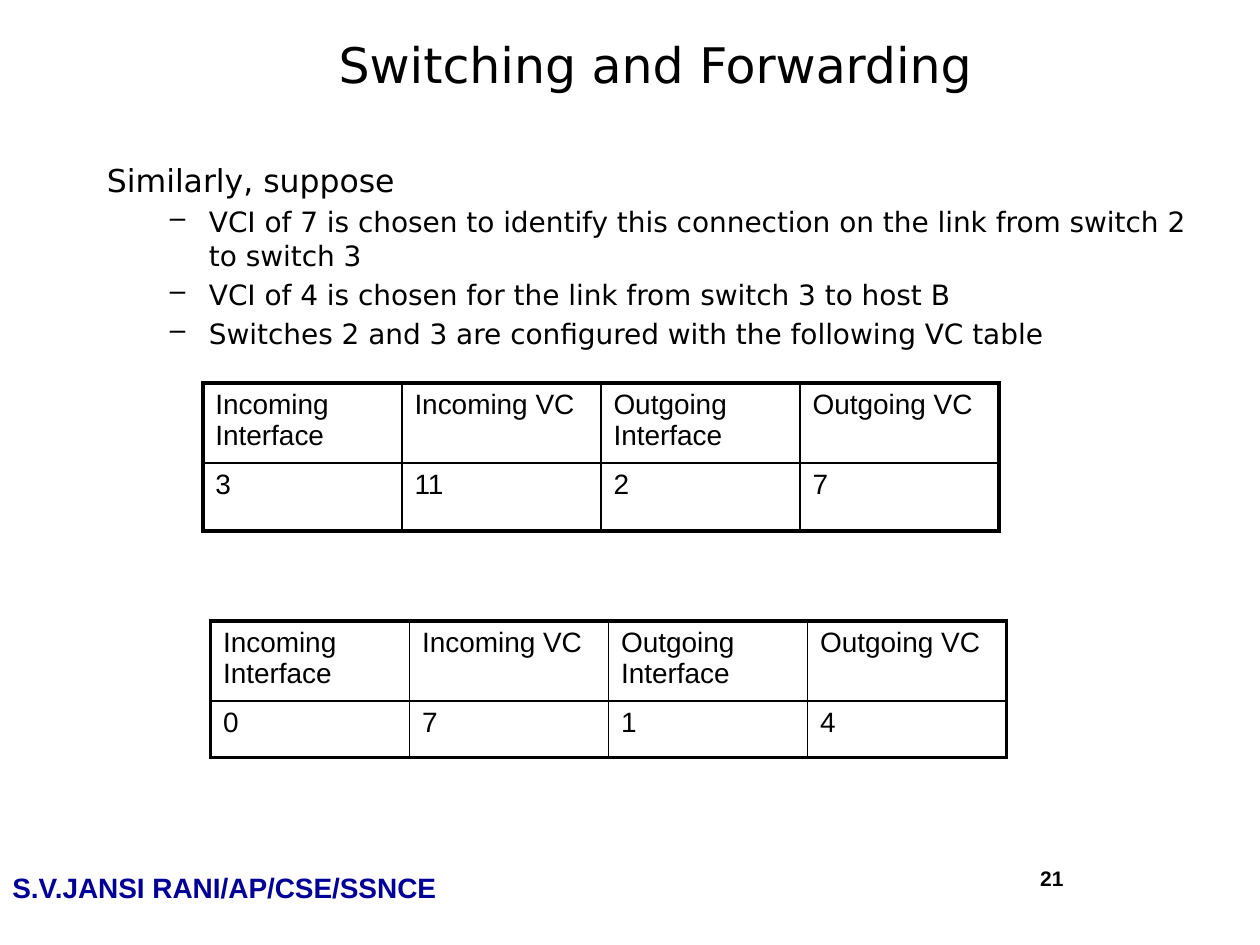
from dataclasses import dataclass

from lxml.etree import SubElement
from pptx import Presentation
from pptx.dml.color import RGBColor
from pptx.enum.shapes import MSO_SHAPE
from pptx.enum.text import MSO_ANCHOR as Anchor, PP_ALIGN as Align
from pptx.oxml.ns import qn
from pptx.util import Inches, Pt

BLACK = RGBColor(0, 0, 0)
WHITE = RGBColor(255, 255, 255)
NAVY = RGBColor(0, 0, 0x99)
HEADERS = ("Incoming Interface", "Incoming VC", "Outgoing Interface", "Outgoing VC")
COLUMN_WIDTH = 1.58
THIN, THICK = Pt(1), Pt(2.25)


@dataclass(frozen=True)
class Box:
    left: float
    top: float
    width: float
    height: float

    def lengths(self) -> tuple:
        return tuple(map(Inches, (self.left, self.top, self.width, self.height)))


@dataclass(frozen=True)
class VcTable:
    left: float
    top: float
    row_heights: tuple[float, float]
    values: tuple[str, ...]


@dataclass(frozen=True)
class BodyLine:
    text: str
    size: int = 16
    margin: float = 0.81
    indent: float = -0.31
    bullet: str = "–"


VC_TABLES = (
    VcTable(1.61, 3.04, (0.59, 0.54), ("3", "11", "2", "7")),
    VcTable(1.67, 4.93, (0.59, 0.45), ("0", "7", "1", "4")),
)
BODY_LINES = (
    BodyLine("Similarly, suppose", 18, 0.38, -0.38, ""),
    BodyLine("VCI of 7 is chosen to identify this connection on the link from switch 2 to switch 3"),
    BodyLine("VCI of 4 is chosen for the link from switch 3 to host B"),
    BodyLine("Switches 2 and 3 are configured with the following VC table"),
)


def write(paragraph, text: str, size: int, color=BLACK, name: str = "Arial", bold: bool = False) -> None:
    run = paragraph.add_run()
    run.text = text
    formats = {"size": Pt(size), "name": name, "bold": bold}
    for attribute, value in formats.items():
        setattr(run.font, attribute, value)
    run.font.color.rgb = color


def add_text_frame(slide, box: Box, anchor=Anchor.TOP):
    frame = slide.shapes.add_textbox(*box.lengths()).text_frame
    frame.word_wrap = True
    frame.vertical_anchor = anchor
    return frame


def add_body(slide, box: Box) -> None:
    frame = add_text_frame(slide, box)
    for index, line in enumerate(BODY_LINES):
        paragraph = frame.add_paragraph() if index else frame.paragraphs[0]
        paragraph.space_before = Pt(line.size * 0.2)
        properties = paragraph._p.get_or_add_pPr()
        properties.set("marL", str(Inches(line.margin)))
        properties.set("indent", str(Inches(line.indent)))
        if line.bullet:
            paragraph.level = 1
            SubElement(properties, qn("a:buChar"), char=line.bullet)
        write(paragraph, line.text, line.size, name="DejaVu Sans")


def set_borders(cell, widths: dict[str, int]) -> None:
    properties = cell._tc.get_or_add_tcPr()
    for side, width in widths.items():
        line = SubElement(properties, qn(f"a:{side}"), w=str(width))
        fill = SubElement(line, qn("a:solidFill"))
        SubElement(fill, qn("a:srgbClr"), val=str(BLACK))


def add_vc_table(slide, item: VcTable) -> None:
    rows = (HEADERS, item.values)
    box = Box(item.left, item.top, COLUMN_WIDTH * len(HEADERS), sum(item.row_heights))
    table = slide.shapes.add_table(len(rows), len(HEADERS), *box.lengths()).table
    table.first_row = table.horz_banding = False
    for column in table.columns:
        column.width = Inches(COLUMN_WIDTH)
    for row_index, texts in enumerate(rows):
        table.rows[row_index].height = Inches(item.row_heights[row_index])
        for column_index, text in enumerate(texts):
            cell = table.cell(row_index, column_index)
            set_borders(cell, {
                "lnL": THICK if column_index == 0 else THIN,
                "lnR": THICK if column_index == len(texts) - 1 else THIN,
                "lnT": THICK if row_index == 0 else THIN,
                "lnB": THICK if row_index == len(rows) - 1 else THIN,
            })
            cell.fill.background()
            paragraph = cell.text_frame.paragraphs[0]
            paragraph.space_before = Pt(3.2)
            write(paragraph, text, 16)


def add_footer(slide) -> None:
    shape = slide.shapes.add_shape(MSO_SHAPE.RECTANGLE, *Box(0, 6.92, 3.58, 0.25).lengths())
    shape.shadow.inherit = False
    shape.fill.solid()
    shape.fill.fore_color.rgb = WHITE
    shape.line.color.rgb = WHITE
    shape.line.width = Pt(0.75)
    frame = shape.text_frame
    frame.word_wrap = False
    frame.vertical_anchor = Anchor.MIDDLE
    paragraph = frame.paragraphs[0]
    paragraph.alignment = Align.LEFT
    write(paragraph, "S.V.JANSI RANI/AP/CSE/SSNCE", 16, NAVY, bold=True)

    number = add_text_frame(slide, Box(7.91, 6.82, 0.63, 0.3)).paragraphs[0]
    number.alignment = Align.RIGHT
    write(number, "21", 12, bold=True)


def main() -> None:
    presentation = Presentation()
    presentation.slide_width, presentation.slide_height = Inches(10), Inches(7.5)
    slide = presentation.slides.add_slide(presentation.slide_layouts[6])
    add_footer(slide)
    title = add_text_frame(slide, Box(0.67, 0.12, 9.06, 0.77), Anchor.MIDDLE).paragraphs[0]
    title.alignment = Align.CENTER
    write(title, "Switching and Forwarding", 28, name="DejaVu Sans")
    add_body(slide, Box(0.75, 1.23, 9.05, 1.89))
    for item in VC_TABLES:
        add_vc_table(slide, item)
    presentation.save("out.pptx")


if __name__ == "__main__":
    main()
